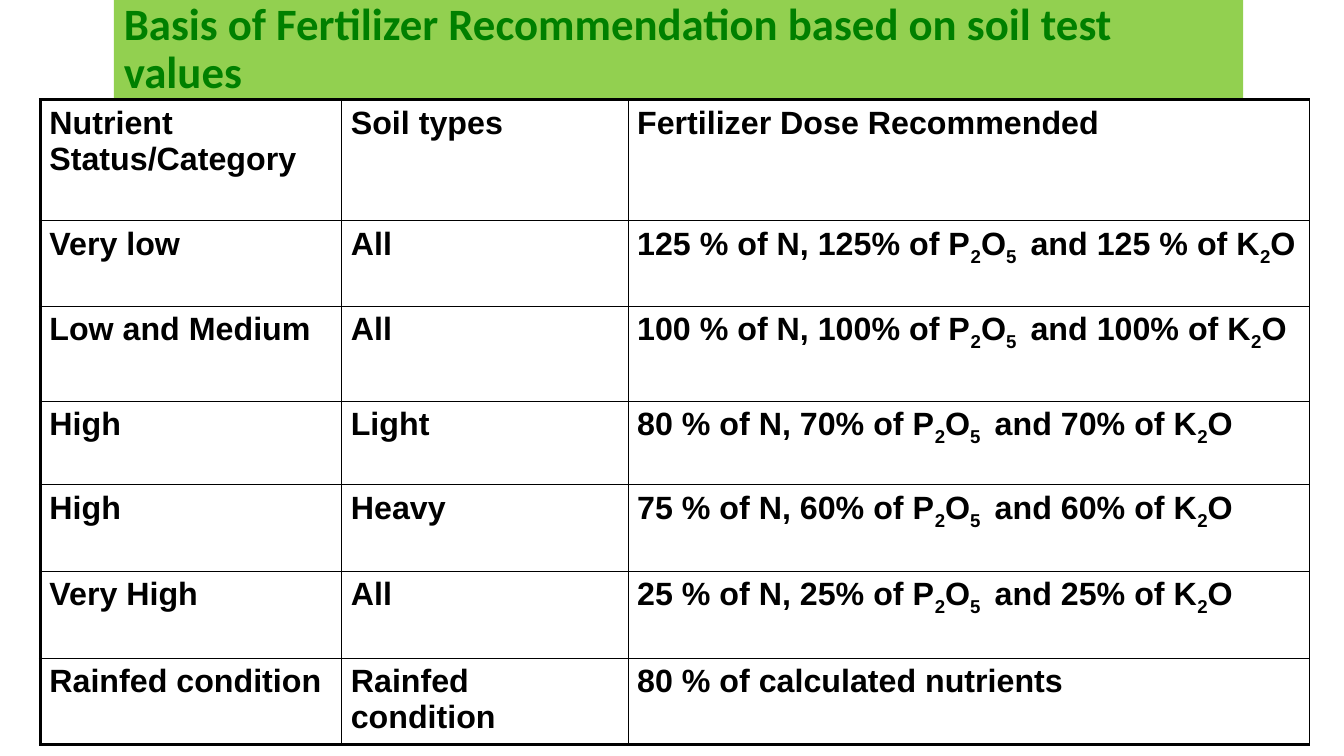
from dataclasses import dataclass

from lxml import etree
from pptx import Presentation
from pptx import util as u
from pptx.dml.color import RGBColor
from pptx.enum import shapes, text
from pptx.oxml import ns

BLACK, GREEN, LIME = "000000", "008000", "92D050"
THIN, THICK = 1, 2.25
COLUMN_WIDTHS = (2.99, 2.84, 6.76)
HEADINGS = ("Nutrient Status/Category", "Soil types", "Fertilizer Dose Recommended")

TITLE_FONT = {"name": "Calibri", "size": u.Pt(32), "bold": True}
TABLE_FONT = {"name": "Arial", "size": u.Pt(23), "bold": True}
CELL_FORMAT = {
    "margin_left": u.Inches(0.09),
    "margin_right": u.Inches(0.09),
    "margin_top": u.Inches(0.05),
    "margin_bottom": u.Inches(0.05),
    "vertical_anchor": text.MSO_ANCHOR.TOP,
}


@dataclass
class Advice:
    """One table row; underscores in the dose enclose subscripts."""
    category: str
    soil: str
    dose: str
    height: float


def npk(nitrogen: str, phosphate: str, potash: str) -> str:
    return f"{nitrogen} of N, {phosphate} of P_2_O_5 _ and {potash} of K_2_O"


ADVICE = [
    Advice(*HEADINGS, 1.2),
    Advice("Very low", "All", npk("125 %", "125%", "125 %"), 0.85),
    Advice("Low and Medium", "All", npk("100 %", "100%", "100%"), 0.94),
    Advice("High", "Light", npk("80 %", "70%", "70%"), 0.83),
    Advice("High", "Heavy", npk("75 %", "60%", "60%"), 0.86),
    Advice("Very High", "All", npk("25 %", "25%", "25%"), 0.86),
    Advice("Rainfed condition", "Rainfed condition", "80 % of calculated nutrients", 0.86),
]


def color(value: str) -> RGBColor:
    return RGBColor.from_string(value)


def apply(target, values: dict) -> None:
    for name, value in values.items():
        setattr(target, name, value)


def write(paragraph, content: str, font: dict, ink: str) -> None:
    for index, piece in enumerate(content.split("_")):
        run = paragraph.add_run()
        run.text = piece
        apply(run.font, font)
        run.font.color.rgb = color(ink)
        if index % 2:
            run._r.get_or_add_rPr().set("baseline", "-25000")


def set_borders(cell, widths: dict[str, float]) -> None:
    """Put the border lines ahead of the cell fill, in schema order."""
    properties = cell._tc.get_or_add_tcPr()
    for position, (side, width) in enumerate(widths.items()):
        line = etree.Element(ns.qn(f"a:ln{side}"), w=str(u.Pt(width)))
        fill = etree.SubElement(line, ns.qn("a:solidFill"))
        etree.SubElement(fill, ns.qn("a:srgbClr"), val=BLACK)
        properties.insert(position, line)


def add_title(slide) -> None:
    banner = slide.shapes.add_shape(
        shapes.MSO_SHAPE.RECTANGLE,
        u.Inches(1.13), u.Inches(0), u.Inches(11.2), u.Inches(0.99))
    banner.shadow.inherit = False
    banner.fill.solid()
    banner.fill.fore_color.rgb = color(LIME)
    banner.line.fill.background()
    apply(banner.text_frame, {"word_wrap": True, "vertical_anchor": text.MSO_ANCHOR.MIDDLE})
    heading = banner.text_frame.paragraphs[0]
    apply(heading, {"alignment": text.PP_ALIGN.LEFT, "line_spacing": 0.9})
    write(heading, "Basis of Fertilizer Recommendation based on soil test values",
          TITLE_FONT, GREEN)


def add_advice_table(slide, advice: list[Advice]) -> None:
    table = slide.shapes.add_table(
        len(advice), len(COLUMN_WIDTHS), u.Inches(0.4), u.Inches(0.99),
        u.Inches(sum(COLUMN_WIDTHS)), u.Inches(sum(a.height for a in advice))).table
    apply(table, {"first_row": False, "horz_banding": False})
    for column, width in zip(table.columns, COLUMN_WIDTHS):
        column.width = u.Inches(width)

    last = len(advice) - 1
    for r, entry in enumerate(advice):
        table.rows[r].height = u.Inches(entry.height)
        for c, content in enumerate((entry.category, entry.soil, entry.dose)):
            cell = table.cell(r, c)
            apply(cell, CELL_FORMAT)
            cell.fill.background()
            write(cell.text_frame.paragraphs[0], content, TABLE_FONT, BLACK)
            # Heavy frame on the left, top and bottom edges
            set_borders(cell, {
                "L": THICK if c == 0 else THIN,
                "R": THIN,
                "T": THICK if r == 0 else THIN,
                "B": THICK if r == last else THIN,
            })


def main() -> None:
    deck = Presentation()
    apply(deck, {"slide_width": u.Inches(13.33), "slide_height": u.Inches(7.5)})
    slide = deck.slides.add_slide(deck.slide_layouts[6])
    add_title(slide)
    add_advice_table(slide, ADVICE)
    deck.save("out.pptx")


if __name__ == "__main__":
    main()
